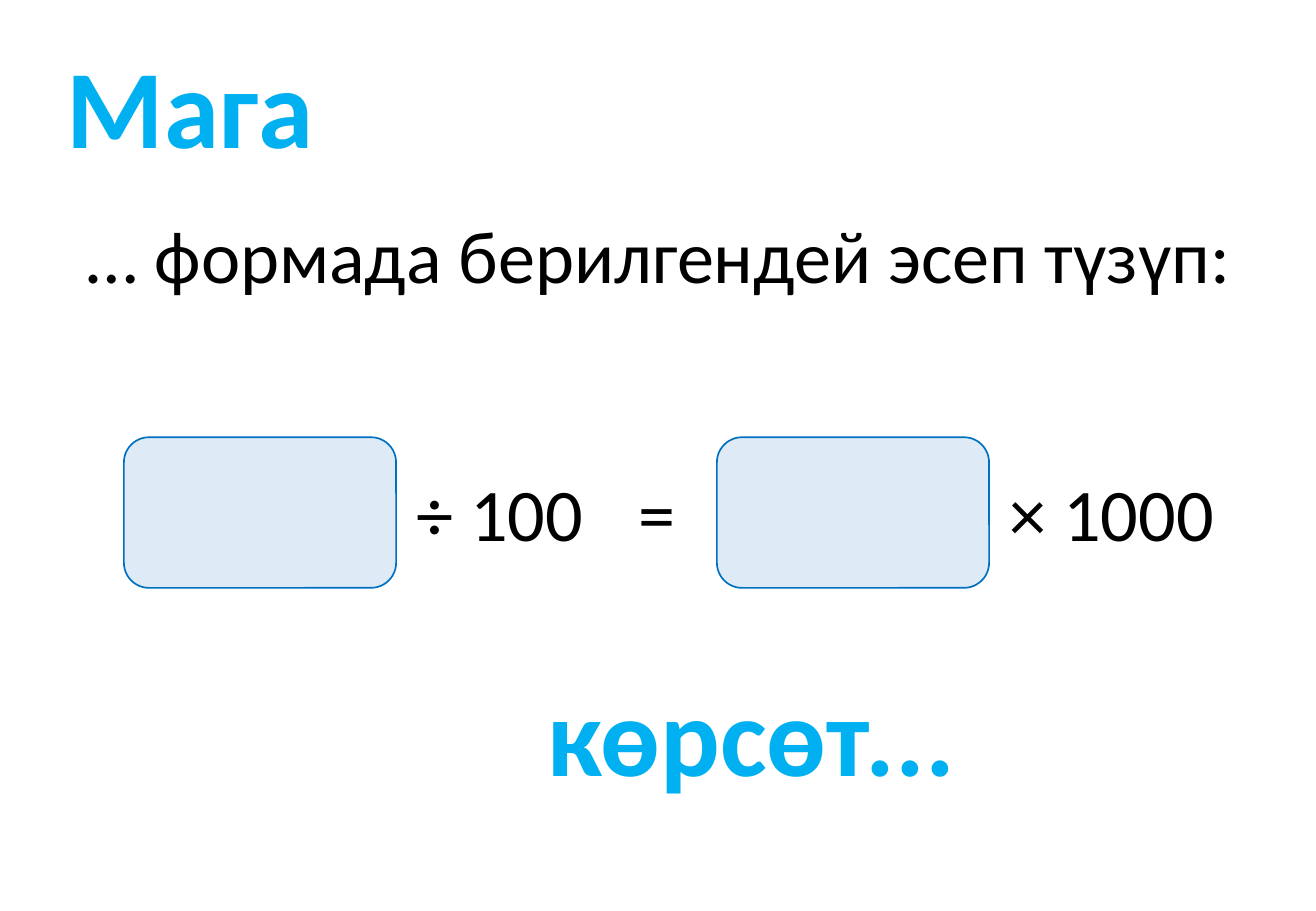
import pptx
import pptx.util
import pptx.dml.color
import pptx.enum.shapes
import pptx.enum.text

Inches = pptx.util.Inches
Pt = pptx.util.Pt
RGBColor = pptx.dml.color.RGBColor
PP_ALIGN = pptx.enum.text.PP_ALIGN
ANCHOR = pptx.enum.text.MSO_ANCHOR

SKY = RGBColor(0x00, 0xB0, 0xF0)
BLACK = RGBColor(0x00, 0x00, 0x00)
PALE_BLUE = RGBColor(0xDE, 0xEB, 0xF7)
OUTLINE_BLUE = RGBColor(0x00, 0x70, 0xC0)

EQUATION_TOP = 3.79
TEXT_HEIGHT = 0.84
BLANK_TOP = 3.6


class TaskCard:
    """Style and current slide of the card."""

    font_name = "Calibri"
    body_size = 44
    heading_size = 66

    def __init__(self, presentation):
        self.slide = presentation.slides.add_slide(presentation.slide_layouts[5])

    def set_text(self, shape, text, size, color, bold, align, anchor, wrap):
        frame = shape.text_frame
        frame.text = text
        frame.word_wrap = wrap
        frame.vertical_anchor = anchor
        frame.auto_size = pptx.enum.text.MSO_AUTO_SIZE.SHAPE_TO_FIT_TEXT
        paragraph = frame.paragraphs[0]
        paragraph.alignment = align
        paragraph.font.name = self.font_name
        paragraph.font.size = Pt(size)
        paragraph.font.bold = bold
        paragraph.font.color.rgb = color

    def set_heading(self, shape, text):
        self.set_text(shape, text, self.heading_size, SKY, True,
                      PP_ALIGN.LEFT, ANCHOR.TOP, True)

    def title(self, text, left, top, width, height):
        heading = self.slide.shapes.title
        heading.left, heading.top = Inches(left), Inches(top)
        heading.width, heading.height = Inches(width), Inches(height)
        self.set_heading(heading, text)

    def closing(self, text, left, top, width, height):
        box = self.slide.shapes.add_textbox(
            Inches(left), Inches(top), Inches(width), Inches(height))
        self.set_heading(box, text)

    def body(self, text, left, top, width, align=PP_ALIGN.CENTER, parent=None):
        shapes = parent.shapes if parent else self.slide.shapes
        box = shapes.add_textbox(
            Inches(left), Inches(top), Inches(width), Inches(TEXT_HEIGHT))
        self.set_text(box, text, self.body_size, BLACK, False,
                      align, ANCHOR.MIDDLE, False)

    def term(self, operation, left, operation_width):
        """An empty answer box followed by its operation."""
        group = self.slide.shapes.add_group_shape()
        blank = group.shapes.add_shape(
            pptx.enum.shapes.MSO_SHAPE.ROUNDED_RECTANGLE,
            Inches(left), Inches(BLANK_TOP), Inches(2.24), Inches(1.24))
        blank.shadow.inherit = False
        blank.fill.solid()
        blank.fill.fore_color.rgb = PALE_BLUE
        blank.line.color.rgb = OUTLINE_BLUE
        blank.line.width = Pt(1)
        self.body(operation, left + 2.31, EQUATION_TOP, operation_width,
                  PP_ALIGN.LEFT, group)


def main():
    presentation = pptx.Presentation()
    presentation.slide_width = Inches(10.83)
    presentation.slide_height = Inches(7.5)
    card = TaskCard(presentation)

    # Opening words and instruction
    card.title("Мага", 0.45, 0.26, 7.33, 1.21)
    card.body("… формада берилгендей эсеп түзүп:", 0.57, 1.67, 9.71)

    # Equation with two blanks
    card.term("÷ 100", 1.02, 1.59)
    card.body("=", 5.15, EQUATION_TOP, 0.51)
    card.term("× 1000", 5.9, 1.9)

    # Closing words
    card.closing("көрсөт...", 4.41, 5.43, 6.2, 1.21)

    presentation.save("out.pptx")


if __name__ == "__main__":
    main()
